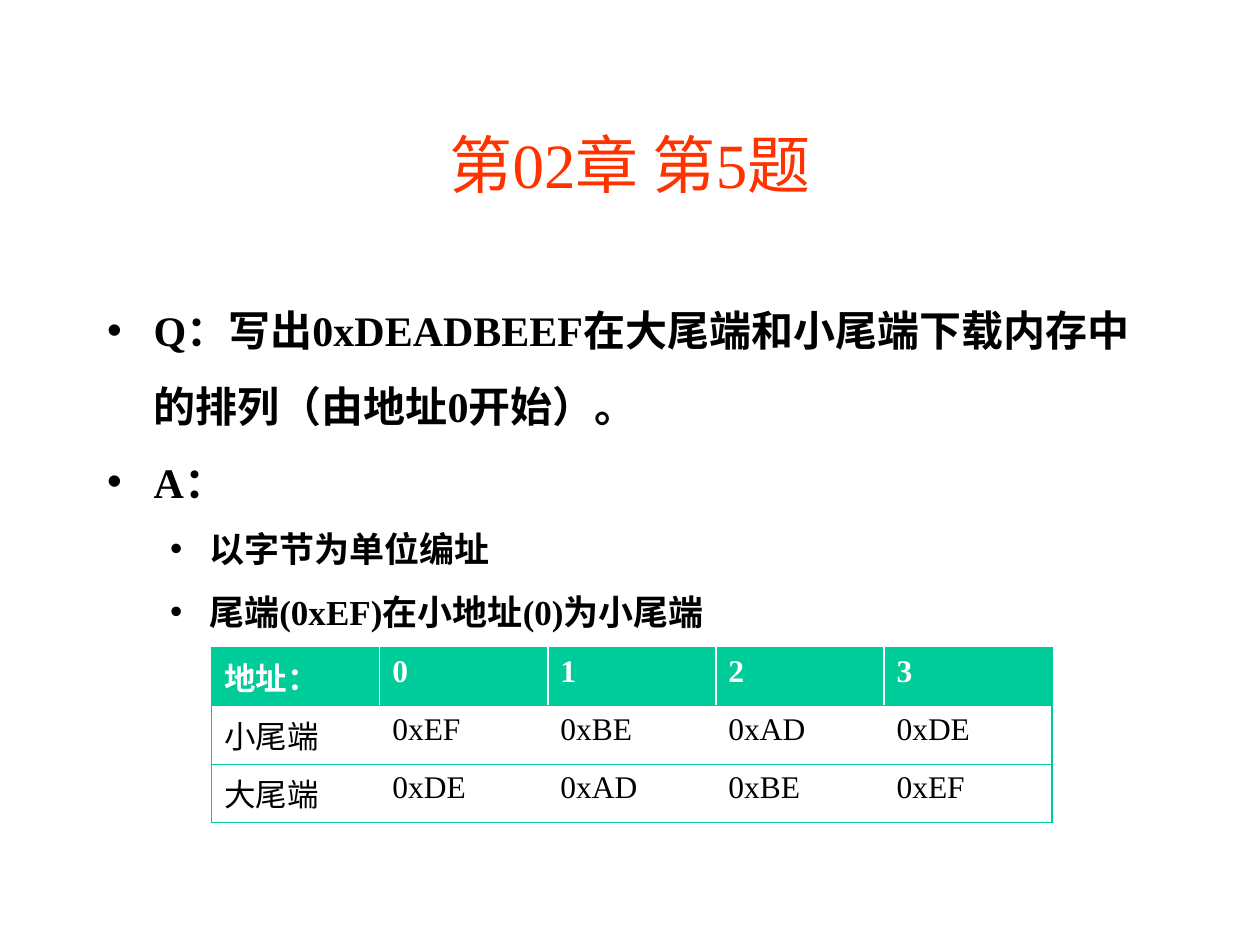
from lxml.etree import SubElement
from pptx import Presentation
from pptx.dml.color import RGBColor
from pptx.enum.text import MSO_ANCHOR, MSO_AUTO_SIZE, PP_ALIGN
from pptx.oxml import parse_xml
from pptx.oxml.ns import nsdecls, qn
from pptx.util import Inches, Pt

BLACK, WHITE, RED = "000000", "FFFFFF", "FF3300"
HEADER_GREEN, BORDER_GREEN = "00CC99", "00C896"


def write(paragraph, text, size, color=BLACK, bold=False, align=PP_ALIGN.LEFT):
    paragraph.text = text
    paragraph.alignment = align
    font = paragraph.font
    font.name, font.size, font.bold = "Times New Roman", Pt(size), bold
    font.color.rgb = RGBColor.from_string(color)


def add_borders(cell, sides):
    properties = cell._tc.get_or_add_tcPr()
    for position, side in enumerate(sides):
        properties.insert(position, parse_xml(
            f'<a:ln{side} {nsdecls("a")} w="{Pt(0.75)}"><a:solidFill>'
            f'<a:srgbClr val="{BORDER_GREEN}"/></a:solidFill></a:ln{side}>'))


presentation = Presentation()
presentation.slide_width, presentation.slide_height = Inches(10), Inches(7.5)
slide = presentation.slides.add_slide(presentation.slide_layouts[1])
title, body = slide.placeholders

margin = Inches(0.75)
content_width = presentation.slide_width - 2 * margin
for placeholder, top, height in ((title, 0.67, 1.25), (body, 2.17, 4.5)):
    placeholder.left, placeholder.width = margin, content_width
    placeholder.top, placeholder.height = Inches(top), Inches(height)
    placeholder.text_frame.auto_size = MSO_AUTO_SIZE.NONE

title.text_frame.vertical_anchor = MSO_ANCHOR.MIDDLE
write(title.text_frame.paragraphs[0], "第02章 第5题", 36, RED, align=PP_ALIGN.CENTER)

# Level: text size, left margin, hanging indent
level_formats = [(24, 0.37, 0.37), (20, 0.81, 0.31)]
body_lines = [
    (0, "Q：写出0xDEADBEEF在大尾端和小尾端下载内存中的排列（由地址0开始）。"),
    (0, "A："),
    (1, "以字节为单位编址"),
    (1, "尾端(0xEF)在小地址(0)为小尾端"),
]
for index, (level, text) in enumerate(body_lines):
    frame = body.text_frame
    paragraph = frame.add_paragraph() if index else frame.paragraphs[0]
    size, left_margin, hanging = level_formats[level]
    paragraph.level = level
    properties = paragraph._p.get_or_add_pPr()
    properties.set("marL", str(Inches(left_margin)))
    properties.set("indent", str(-Inches(hanging)))
    SubElement(properties, qn("a:buChar"), char="•")
    paragraph.line_spacing = 1.5
    paragraph.space_before = Pt(0)
    write(paragraph, text, size, bold=True)

rows = [
    ["地址：", "0", "1", "2", "3"],
    ["小尾端", "0xEF", "0xBE", "0xAD", "0xDE"],
    ["大尾端", "0xDE", "0xAD", "0xBE", "0xEF"],
]
last_column = len(rows[0]) - 1
table = slide.shapes.add_table(
    len(rows), len(rows[0]), Inches(1.68), Inches(5.14), Inches(6.67), Inches(1.22)).table
for row_index, row in enumerate(rows):
    is_header = row_index == 0
    for column_index, text in enumerate(row):
        cell = table.cell(row_index, column_index)
        cell.fill.solid()
        cell.fill.fore_color.rgb = RGBColor.from_string(HEADER_GREEN if is_header else WHITE)
        write(cell.text_frame.paragraphs[0], text, 18,
              WHITE if is_header else BLACK, bold=is_header)
        outer_sides = {0: "L", last_column: "R"}.get(column_index, "")
        add_borders(cell, outer_sides + "TB")

presentation.save("out.pptx")
